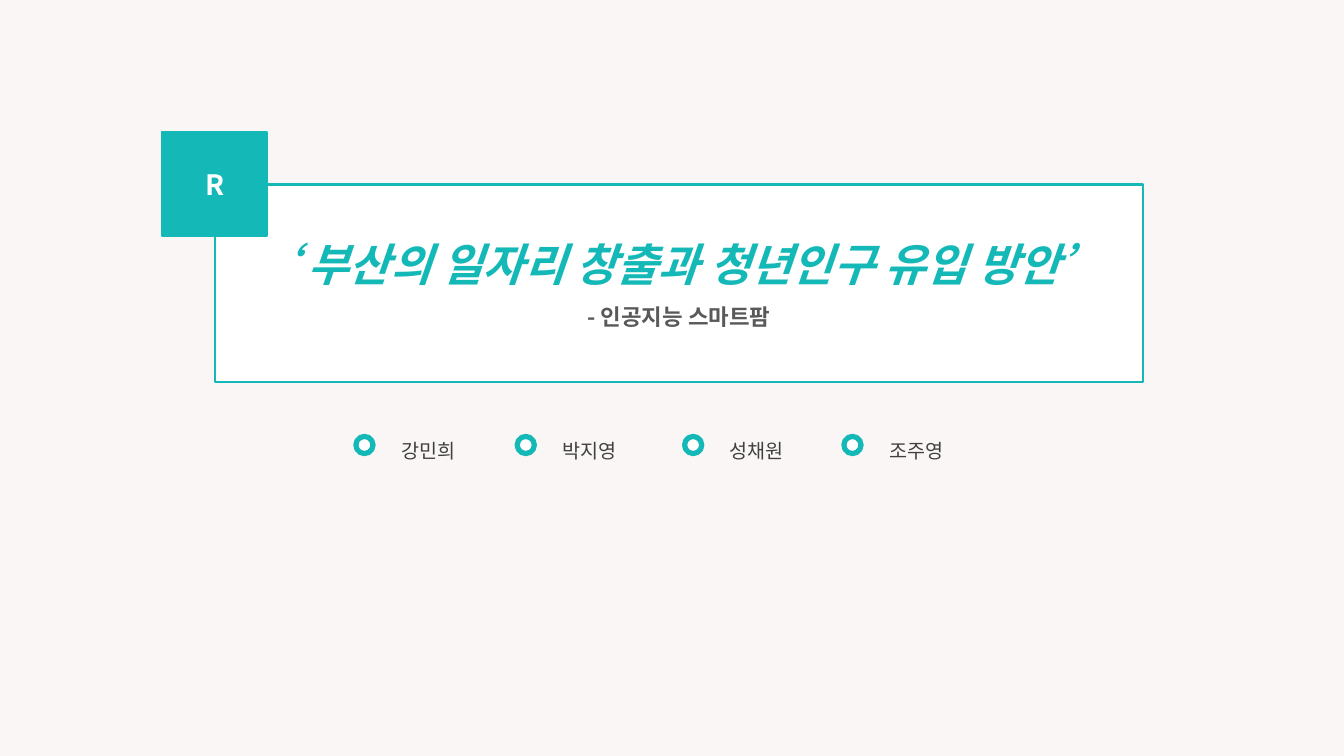
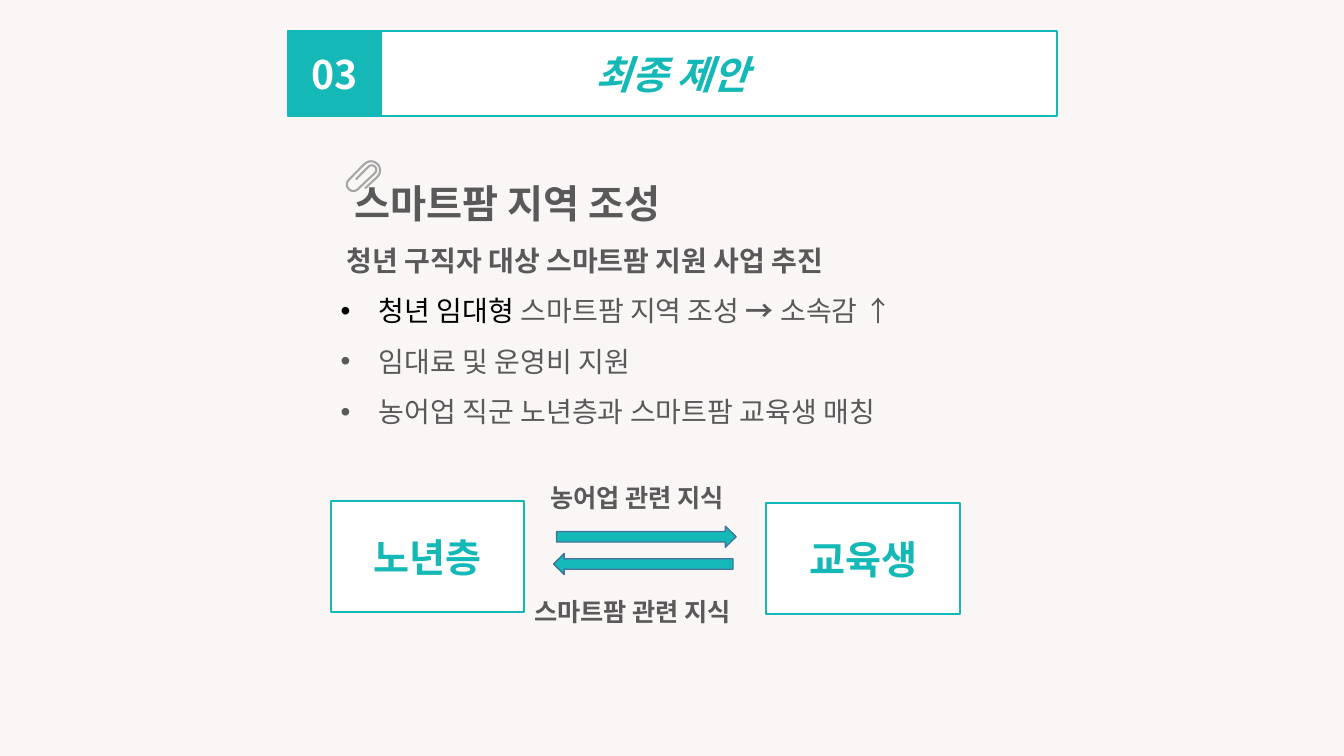
import math
from dataclasses import dataclass

import pptx
import pptx.dml.color
import pptx.enum.shapes
import pptx.enum.text
import pptx.util
from lxml import etree
from pptx.oxml.ns import qn

# Shared look
PX = 9144  # 100 px to the inch
FONT = "Noto Sans CJK KR"
TEAL, WHITE, PAPER = "14B9B7", "FFFFFF", "F9F6F5"
BLACK, GREY, DARK_GREY, CLIP_GREY, ARROW_EDGE = "000000", "595959", "404040", "A6A6A6", "43739E"
SHAPE = pptx.enum.shapes.MSO_SHAPE
ALIGN = pptx.enum.text.PP_ALIGN
ANCHOR = pptx.enum.text.MSO_ANCHOR


@dataclass(frozen=True)
class Box:
    left: int
    top: int
    width: int
    height: int


@dataclass(frozen=True)
class Member:
    name: str
    left: int


@dataclass(frozen=True)
class Flow:
    knowledge: str
    label: Box
    arrow: Box
    rotation: int


@dataclass(frozen=True)
class Turn:
    """Half turn of the paper clip, from lower right or upper left."""
    x: float
    y: float
    radius: float
    start: int


MEMBERS = [Member("강민희", 353), Member("박지영", 513),
           Member("성채원", 679), Member("조주영", 837)]
GROUPS = {"노년층": Box(328, 497, 192, 110), "교육생": Box(760, 499, 192, 110)}
FLOWS = [
    Flow("농어업 관련 지식", Box(536, 474, 217, 40), Box(552, 522, 178, 21), 0),
    Flow("스마트팜 관련 지식", Box(520, 587, 242, 40), Box(549, 549, 178, 21), 180),
]
CLIP_TURNS = [Turn(368, 169, 9, 45), Turn(350.5, 183, 6.5, 225), Turn(368.7, 168.5, 4.5, 45)]


def px(length: float) -> pptx.util.Emu:
    return pptx.util.Emu(round(length * PX))


def color(hex_code: str) -> pptx.dml.color.RGBColor:
    return pptx.dml.color.RGBColor.from_string(hex_code)


def place(shape, box: Box) -> None:
    shape.left, shape.top = px(box.left), px(box.top)
    shape.width, shape.height = px(box.width), px(box.height)


def paint(shape, fill: str | None, line: str, weight: float) -> None:
    shape.shadow.inherit = False
    if fill:
        shape.fill.solid()
        shape.fill.fore_color.rgb = color(fill)
    else:
        shape.fill.background()
    shape.line.color.rgb = color(line)
    shape.line.width = pptx.util.Pt(weight)


def add_run(paragraph, text: str, *, size: float, ink: str = GREY,
            bold: bool = False, italic: bool = False) -> None:
    run = paragraph.add_run()
    run.text = text
    font = run.font
    font.name, font.size, font.bold, font.italic = FONT, pptx.util.Pt(size), bold, italic
    font.color.rgb = color(ink)
    east_asian = etree.SubElement(run._r.get_or_add_rPr(), qn("a:ea"))
    east_asian.set("typeface", FONT)


def write(shape, text: str = "", *, align=ALIGN.LEFT, spacing: float = 1.0,
          indent: int = 0, bullet: bool = False, **font):
    """Fill the first paragraph, or add one after it, and return it."""
    frame = shape.text_frame
    paragraph = frame.paragraphs[0]
    if paragraph.runs:
        paragraph = frame.add_paragraph()
    paragraph.alignment, paragraph.line_spacing = align, spacing
    properties = paragraph._p.get_or_add_pPr()
    if indent:
        properties.set("marL", str(px(indent)))
        properties.set("indent", str(px(-indent if bullet else 0)))
    if bullet:
        etree.SubElement(properties, qn("a:buFont")).set("typeface", "Arial")
        etree.SubElement(properties, qn("a:buChar")).set("char", "•")
    if text:
        add_run(paragraph, text, **font)
    return paragraph


def add_figure(slide, kind, box: Box, fill: str = WHITE, line: str = TEAL, weight: float = 1.5):
    shape = slide.shapes.add_shape(kind, 0, 0, 0, 0)
    place(shape, box)
    paint(shape, fill, line, weight)
    shape.text_frame.vertical_anchor = ANCHOR.MIDDLE
    return shape


def add_text_box(slide, box: Box, wrap: bool = True):
    text_box = slide.shapes.add_textbox(0, 0, 0, 0)
    place(text_box, box)
    text_box.text_frame.word_wrap = wrap
    return text_box


def add_titled_slide(deck, title: str, box: Box, size: int, badge: str,
                     badge_box: Box, badge_size: int):
    """Slide with a framed title and a teal badge."""
    slide = deck.slides.add_slide(deck.slide_layouts[5])
    heading = slide.shapes.title
    place(heading, box)
    paint(heading, WHITE, TEAL, 1.5)
    heading.text_frame.vertical_anchor = ANCHOR.MIDDLE
    heading.text_frame.auto_size = pptx.enum.text.MSO_AUTO_SIZE.NONE
    write(heading, title, align=ALIGN.CENTER, size=size, ink=TEAL, bold=True, italic=True)
    mark = add_figure(slide, SHAPE.RECTANGLE, badge_box, fill=TEAL)
    write(mark, badge, align=ALIGN.CENTER, size=badge_size, ink=WHITE, bold=True)
    return slide


def add_paper_clip(slide) -> None:
    points = [(362, 187)]
    for turn in CLIP_TURNS:
        for step in range(0, 181, 15):
            angle = math.radians(turn.start - step)
            points.append((turn.x + turn.radius * math.cos(angle),
                           turn.y + turn.radius * math.sin(angle)))
    points.append((353, 178))
    (start_x, start_y), *rest = [(px(x), px(y)) for x, y in points]
    builder = slide.shapes.build_freeform(start_x, start_y)
    builder.add_line_segments(rest, close=False)
    paint(builder.convert_to_shape(), None, CLIP_GREY, 1.5)


def build_cover(deck) -> None:
    slide = add_titled_slide(deck, "‘ 부산의 일자리 창출과 청년인구 유입 방안’",
                             Box(213, 183, 921, 196), 32, "R", Box(161, 131, 104, 103), 20)
    write(slide.shapes.title, "- 인공지능 스마트팜", align=ALIGN.CENTER,
          spacing=1.5, size=16, bold=True)
    # Team members
    for member in MEMBERS:
        add_figure(slide, SHAPE.OVAL, Box(member.left, 433, 17, 17), weight=3.75)
        name = add_text_box(slide, Box(member.left + 35, 419, 79, 45), wrap=False)
        write(name, member.name, spacing=1.5, size=14, ink=DARK_GREY)


def build_proposal(deck) -> None:
    slide = add_titled_slide(deck, "최종 제안", Box(286, 31, 762, 84), 28,
                             "03", Box(286, 31, 92, 84), 28)
    # Proposal text
    proposal = add_text_box(slide, Box(328, 150, 671, 290))
    write(proposal, "스마트팜 지역 조성", spacing=1.5, indent=14, size=28, bold=True)
    write(proposal, "청년 구직자 대상 스마트팜 지원 사업 추진", spacing=1.5, indent=6,
          size=20, bold=True)
    rental = write(proposal, "청년 임대형 ", spacing=1.5, indent=38, bullet=True,
                   size=20, ink=BLACK)
    add_run(rental, "스마트팜 지역 조성 ", size=20)
    add_run(rental, "→ ", size=20, bold=True)
    add_run(rental, "소속감 ↑", size=20)
    for point in ("임대료 및 운영비 지원", "농어업 직군 노년층과 스마트팜 교육생 매칭"):
        write(proposal, point, spacing=1.5, indent=38, bullet=True, size=20)
    add_paper_clip(slide)
    # Exchange of knowledge
    for group, box in GROUPS.items():
        write(add_figure(slide, SHAPE.RECTANGLE, box), group, align=ALIGN.CENTER,
              size=28, ink=TEAL, bold=True)
    for flow in FLOWS:
        arrow = add_figure(slide, SHAPE.RIGHT_ARROW, flow.arrow, TEAL, ARROW_EDGE, 1)
        arrow.rotation = flow.rotation
        write(add_text_box(slide, flow.label), flow.knowledge, size=18, bold=True)


def main() -> None:
    deck = pptx.Presentation()
    deck.slide_width, deck.slide_height = px(1333), px(750)
    backdrop = deck.slide_master.background.fill
    backdrop.solid()
    backdrop.fore_color.rgb = color(PAPER)
    build_cover(deck)
    build_proposal(deck)
    deck.save("out.pptx")


if __name__ == "__main__":
    main()
